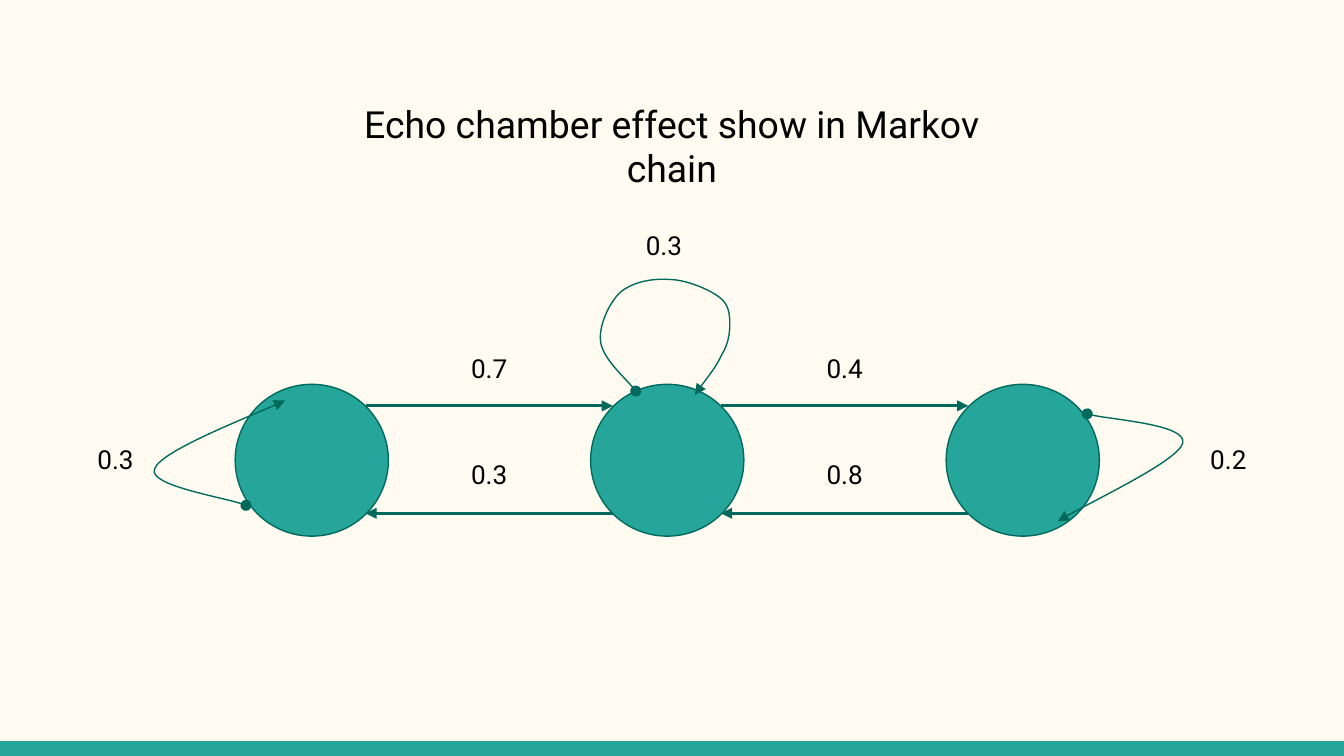
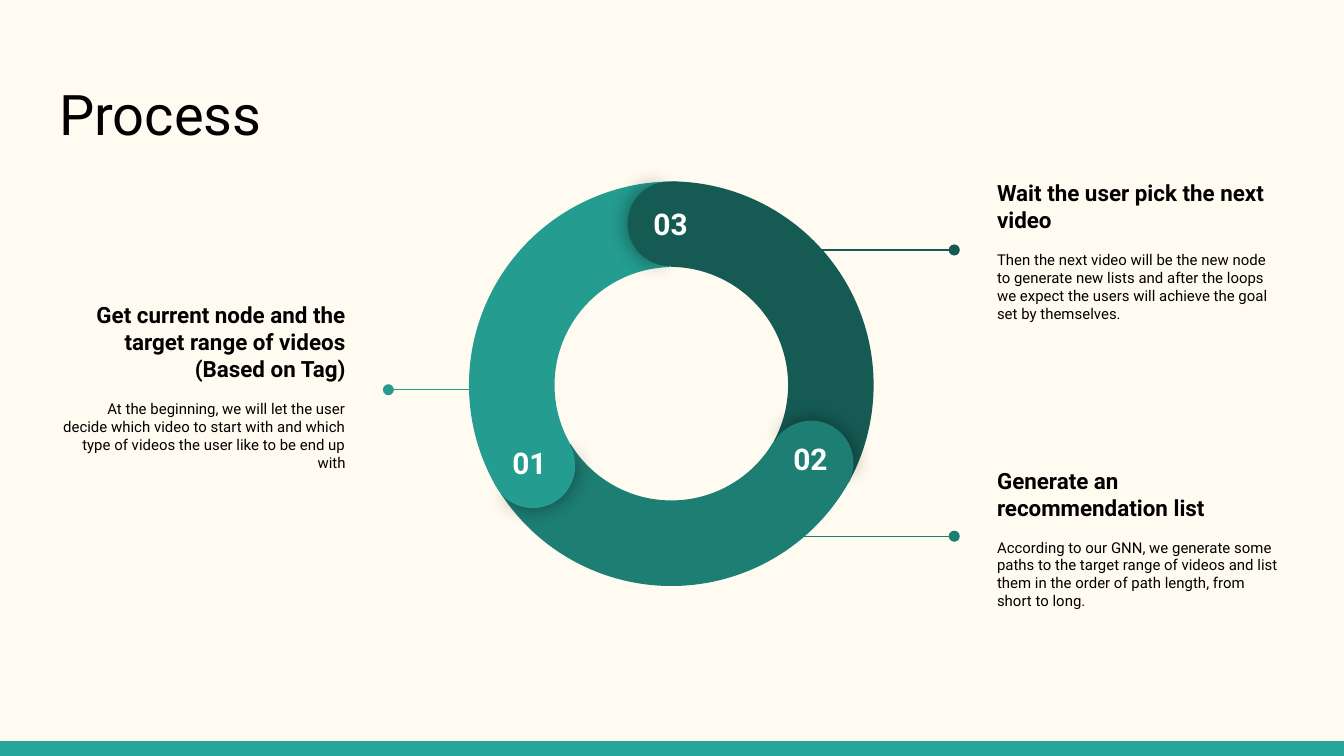
from lxml.etree import SubElement
from pptx import Presentation
from pptx.dml.color import RGBColor
from pptx.enum.shapes import MSO_CONNECTOR, MSO_SHAPE as Preset
from pptx.enum.text import MSO_ANCHOR as Anchor, MSO_AUTO_SIZE as AutoSize, PP_ALIGN as Align
from pptx.oxml.ns import qn
from pptx.util import Inches, Pt

CREAM = RGBColor(0xFF, 0xFB, 0xF0)
TEAL = RGBColor(0x26, 0xA6, 0x9A)
DEEP_TEAL = RGBColor(0x00, 0x69, 0x5C)
RING_LIGHT = RGBColor(0x24, 0x9C, 0x90)
RING_MIDDLE = RGBColor(0x1D, 0x7E, 0x74)
RING_DARK = RGBColor(0x15, 0x5B, 0x54)
BLACK = RGBColor(0, 0, 0)
WHITE = RGBColor(0xFF, 0xFF, 0xFF)

FONT = "Roboto"
COLUMNS = 100
ROWS = COLUMNS * 9 / 16
TITLE_ONLY = 5


class Deck:
    """Holds the style and the current slide; places are in square grid cells."""

    def __init__(self):
        self.presentation = Presentation()
        self.presentation.slide_width = Inches(10)
        self.cell = self.presentation.slide_width / COLUMNS
        self.presentation.slide_height = self.length(ROWS)
        self.master = self.presentation.slide_master
        self.master.background.fill.solid()
        self.master.background.fill.fore_color.rgb = CREAM
        self.slide = None

    def length(self, cells):
        return round(cells * self.cell)

    def lengths(self, *cells):
        return [self.length(count) for count in cells]

    def add_slide(self, title, place, size, align=Align.LEFT):
        layout = self.presentation.slide_layouts[TITLE_ONLY]
        self.slide = self.presentation.slides.add_slide(layout)
        if len(self.presentation.slides) == 1:
            self.add_footer_band()
        shape = self.slide.shapes.title
        shape.left, shape.top, shape.width, shape.height = self.lengths(*place)
        self.prepare_frame(shape, Anchor.TOP)
        self.add_text(shape.text_frame.paragraphs[0], title, size, align=align)

    def add_footer_band(self):
        """Draw the band once and hand it to the master, behind everything."""
        band = self.shape(Preset.RECTANGLE, (0, ROWS - 1.1, COLUMNS, 1.1), TEAL)
        band.element.nvSpPr.cNvPr.set("id", "100")
        self.master.shapes.element.insert(2, band.element)

    def prepare_frame(self, shape, anchor, auto_size=AutoSize.NONE):
        frame = shape.text_frame
        frame.word_wrap = True
        frame.auto_size = auto_size
        frame.vertical_anchor = anchor
        inset = self.length(1)
        frame.margin_left = frame.margin_right = inset
        frame.margin_top = frame.margin_bottom = inset
        return frame

    def add_text(self, paragraph, text, size, color=BLACK, bold=False, align=Align.LEFT):
        paragraph.alignment = align
        run = paragraph.add_run()
        run.text = text
        run.font.name = FONT
        run.font.size = Pt(size)
        run.font.bold = bold
        run.font.color.rgb = color

    def label(self, text, place, size=14, color=BLACK, bold=False):
        box = self.slide.shapes.add_textbox(*self.lengths(*place))
        frame = self.prepare_frame(box, Anchor.TOP, AutoSize.SHAPE_TO_FIT_TEXT)
        self.add_text(frame.paragraphs[0], text, size, color, bold, Align.CENTER)

    def step_text(self, heading, detail, place, align):
        box = self.slide.shapes.add_textbox(*self.lengths(*place))
        frame = self.prepare_frame(box, Anchor.MIDDLE)
        self.add_text(frame.paragraphs[0], heading, 12, bold=True, align=align)
        paragraph = frame.add_paragraph()
        paragraph.space_before = Pt(9.4)
        paragraph.space_after = Pt(16)
        self.add_text(paragraph, detail, 8, align=align)

    def shape(self, preset, place, fill, line=None, rotation=0, adjustments=()):
        shape = self.slide.shapes.add_shape(preset, *self.lengths(*place))
        shape.shadow.inherit = False
        shape.rotation = rotation
        for index, value in enumerate(adjustments):
            shape.adjustments[index] = value
        shape.fill.solid()
        shape.fill.fore_color.rgb = fill
        if line is None:
            shape.line.fill.background()
        else:
            shape.line.color.rgb = line
            shape.line.width = Pt(0.75)
        return shape

    def glow(self, shape):
        """Give the shape a soft black shadow on all sides."""
        effects = shape.element.spPr.find(qn("a:effectLst"))
        shadow = SubElement(effects, qn("a:outerShdw"), blurRad=str(Pt(11.2)),
                            dist="0", dir="0", algn="bl", rotWithShape="0")
        color = SubElement(shadow, qn("a:srgbClr"), val=str(BLACK))
        SubElement(color, qn("a:alpha"), val="43000")

    def stroke(self, shape, color, width, head, tail):
        shape.line.color.rgb = color
        shape.line.width = Pt(width)
        line = shape.element.spPr.find(qn("a:ln"))
        for tag, kind in (("a:headEnd", head), ("a:tailEnd", tail)):
            SubElement(line, qn(tag), type=kind)

    def connector(self, start, end, color, width, tail):
        connector = self.slide.shapes.add_connector(
            MSO_CONNECTOR.STRAIGHT, *self.lengths(*start, *end))
        self.stroke(connector, color, width, "none", tail)
        SubElement(connector.element.spPr, qn("a:effectLst"))

    def loop(self, points):
        """Draw a Bezier curve: a start, then two handles and an end per piece."""
        start, *others = [self.lengths(*point) for point in points]
        builder = self.slide.shapes.build_freeform(*start)
        builder.add_line_segments(others, close=False)
        shape = builder.convert_to_shape()
        outline = shape.element.find(".//" + qn("a:path"))
        segments = outline.findall(qn("a:lnTo"))
        for index, segment in enumerate(segments):
            if index % 3 == 0:
                curve = SubElement(outline, qn("a:cubicBezTo"))
            curve.append(segment[0])
            outline.remove(segment)
        shape.shadow.inherit = False
        shape.fill.background()
        self.stroke(shape, DEEP_TEAL, 0.75, "oval", "triangle")


def build_markov_slide(deck):
    deck.add_slide("Echo chamber effect show in Markov chain",
                   (22.7, 6.5, 54.6, 5.4), 20, Align.CENTER)
    state_step = 26.45
    label_size = (6.4, 4.4)
    for state in range(3):
        deck.shape(Preset.OVAL, (17.5 + state * state_step, 28.6, 11.4, 11.3),
                   TEAL, DEEP_TEAL)

    for gap, (forward, backward) in enumerate((("0.7", "0.3"), ("0.4", "0.8"))):
        shift = gap * state_step
        left, right = 27.2 + shift, 45.6 + shift
        deck.connector((left, 30.2), (right, 30.2), DEEP_TEAL, 1.5, "triangle")
        deck.connector((right, 38.2), (left, 38.2), DEEP_TEAL, 1.5, "triangle")
        deck.label(forward, (33.2 + shift, 25.2, *label_size))
        deck.label(backward, (33.2 + shift, 33.1, *label_size))

    self_loops = (
        ("0.3", (5.4, 32), (
            (18.3, 37.6), (17.2, 37.1), (11, 36.1), (11.5, 34.9),
            (11.9, 33.6), (19.6, 30.6), (21.2, 29.8))),
        ("0.3", (46.2, 16.1), (
            (47.3, 29.1), (46.9, 28.5), (44.9, 26.7), (44.7, 25.5),
            (44.5, 24.3), (45.3, 22.6), (46.1, 21.8),
            (47, 21), (48.5, 20.7), (49.8, 20.8),
            (51, 20.8), (52.7, 21.5), (53.5, 22.1),
            (54.2, 22.6), (54.3, 23.3), (54.3, 24.1),
            (54.3, 24.8), (54.2, 25.6), (53.7, 26.4),
            (53.3, 27.3), (52, 28.9), (51.7, 29.4))),
        ("0.2", (88.2, 32), (
            (80.9, 30.8), (82.1, 31.2), (88.4, 31.6), (88, 33),
            (87.6, 34.3), (80.2, 37.8), (78.7, 38.8))),
    )
    for probability, corner, points in self_loops:
        deck.loop(points)
        deck.label(probability, (*corner, *label_size))


def build_process_slide(deck):
    deck.add_slide("Process", (3.4, 4.9, 93.2, 6.7), 30)
    steps = (
        ("Get current node and the target range of videos (Based on Tag)",
         "At the beginning, we will let the user decide which video to start with "
         "and which type of videos the user like to be end up with",
         (3.5, 21.7), Align.RIGHT, (35.8, 28.9, RING_LIGHT), 29),
        ("Wait the user pick the next video",
         "Then the next video will be the new node to generate new lists and after "
         "the loops we expect the users will achieve the goal set by themselves.",
         (73.2, 11.6), Align.LEFT, (57, 71, RING_DARK), 18.6),
        ("Generate an recommendation list",
         "According to our GNN, we generate some paths to the target range of videos "
         "and list them in the order of path length, from short to long.",
         (73.2, 33), Align.LEFT, (57, 71, RING_MIDDLE), 39.9),
    )
    for heading, detail, corner, align, (start, end, color), row in steps:
        deck.step_text(heading, detail, (*corner, 23.2, 14.1), align)
        deck.connector((start, row), (end, row), color, 0.75, "oval")

    arcs = (
        ((34.7, 13.5), 60, RING_DARK),
        ((34.8, 13.3), 180, RING_MIDDLE),
        ((34.9, 13.5), 300, RING_LIGHT),
    )
    for corner, rotation, color in arcs:
        deck.shape(Preset.BLOCK_ARC, (*corner, 30.3, 30.3), color,
                   rotation=rotation, adjustments=(126.23, 197.2, 0.21))

    caps = (
        ("01", (36.5, 31.5), (36.6, 32.1), 240, RING_LIGHT),
        ("03", (46.7, 13.5), (47.1, 14.3), 0, RING_DARK),
        ("02", (57.2, 31.3), (57.5, 31.8), 120, RING_MIDDLE),
    )
    for number, corner, label_corner, rotation, color in caps:
        place = (*corner, 6.3, 6.3)
        deck.glow(deck.shape(Preset.PIE, place, color, rotation=rotation + 0.65,
                             adjustments=(61.9, 149.96)))
        deck.shape(Preset.PIE, place, color, rotation=(rotation + 180) % 360,
                   adjustments=(40.28, 171.84))
        deck.label(number, (*label_corner, 5.6, 2.9), 16, WHITE, bold=True)


def main():
    deck = Deck()
    build_markov_slide(deck)
    build_process_slide(deck)
    deck.presentation.save("out.pptx")


if __name__ == "__main__":
    main()
